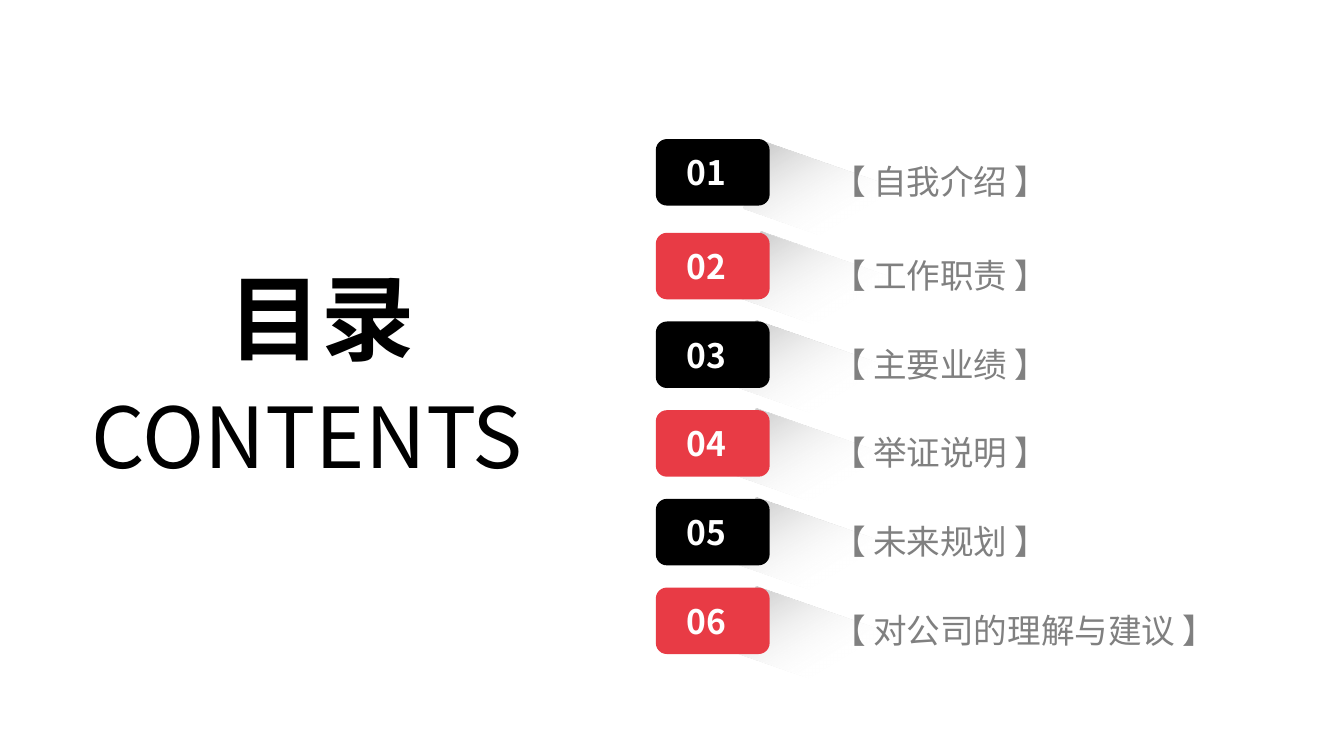
from dataclasses import dataclass

from lxml import etree
from pptx import Presentation
from pptx import util as u
from pptx.dml.color import RGBColor
from pptx.enum import shapes, text
from pptx.oxml import parse_xml
from pptx.oxml.ns import nsdecls, qn

WIDTH, HEIGHT = u.Inches(13.34), u.Inches(7.5)
FONT = "Noto Sans CJK SC"
BLACK = RGBColor(0x00, 0x00, 0x00)
RED = RGBColor(0xE8, 0x3B, 0x45)
WHITE = RGBColor(0xFF, 0xFF, 0xFF)
GRAY = RGBColor(0x80, 0x80, 0x80)
SHADOW_DARK = RGBColor(0x59, 0x59, 0x59)
SHADOW_LIGHT = RGBColor(0xBF, 0xBF, 0xBF)

# Stops of the cast shadow: position %, colour, opacity %
SHADOW_STOPS = ((0, SHADOW_DARK, 54), (0, SHADOW_LIGHT, 100), (54, WHITE, 0))
SHADOW_ANGLE = 40
SHADOW_TILT = 19.2

FIRST_ROW, SECOND_ROW, ROW_PITCH = 18, 30.4, 11.73


@dataclass(frozen=True)
class Area:
    """A rectangle in percent of the slide's width and height."""
    left: float
    top: float
    width: float
    height: float

    def moved(self, right: float = 0, down: float = 0) -> "Area":
        return Area(self.left + right, self.top + down, self.width, self.height)

    def lengths(self) -> tuple[int, ...]:
        shares = ((self.left, WIDTH), (self.top, HEIGHT),
                  (self.width, WIDTH), (self.height, HEIGHT))
        return tuple(round(share * whole / 100) for share, whole in shares)


@dataclass(frozen=True)
class Style:
    size: float
    color: RGBColor
    bold: bool = False
    paragraph: tuple = ()
    margins: tuple[float, float] = (0.1, 0.05)


@dataclass(frozen=True)
class Entry:
    label: str
    shadow_right: float = 0
    shadow_down: float = 0
    label_width: float = 28.34


CENTERED = (("alignment", text.PP_ALIGN.CENTER),)
SPACED = (("line_spacing", 1.5), ("space_before", u.Pt(7.5)))
TITLE = Style(66.7, BLACK, True, CENTERED)
SUBTITLE = Style(60, BLACK, margins=(0, 0))
NUMBER = Style(24, WHITE, True, CENTERED, (0.07, 0.04))
LABEL = Style(24, GRAY, paragraph=SPACED)

# Tops are relative to the row
SHADOW_AREA = Area(55.02, 4.27, 14.62, 9.2)
BADGE_AREA = Area(48.8, 0.4, 8.47, 8.8)
NUMBER_AREA = Area(48.65, -0.27, 7.8, 10.13)

ENTRIES = (
    Entry("自我介绍", shadow_right=0.75, shadow_down=0.67),
    Entry("工作职责", shadow_right=0.37),
    Entry("主要业绩"),
    Entry("举证说明"),
    Entry("未来规划"),
    Entry("对公司的理解与建议", label_width=31.26),
)


def set_values(target, values: dict) -> None:
    for name, value in values.items():
        setattr(target, name, value)


def write(box, words: str, style: Style, **frame_values) -> None:
    frame = box.text_frame
    across, down = (u.Inches(margin) for margin in style.margins)
    set_values(frame, {"word_wrap": True, "margin_left": across, "margin_right": across,
                       "margin_top": down, "margin_bottom": down, **frame_values})
    para = frame.paragraphs[0]
    set_values(para, dict(style.paragraph))
    span = para.add_run()
    span.text = words
    set_values(span.font, {"size": u.Pt(style.size), "bold": style.bold, "name": FONT})
    span.font.color.rgb = style.color
    etree.SubElement(span.font._element, qn("a:ea"), typeface=FONT)


def add_text(parent, area: Area, words: str, style: Style) -> None:
    box = parent.add_textbox(*area.lengths())
    write(box, words, style, auto_size=text.MSO_AUTO_SIZE.SHAPE_TO_FIT_TEXT)


def add_plain_shape(parent, kind: shapes.MSO_SHAPE, area: Area, color: RGBColor | None = None):
    """Add a shape with no line or shadow, and no fill unless a colour is given."""
    shape = parent.add_shape(kind, *area.lengths())
    shape.shadow.inherit = False
    shape.line.fill.background()
    if color is None:
        shape.fill.background()
    else:
        shape.fill.solid()
        shape.fill.fore_color.rgb = color
    return shape


def add_cast_shadow(parent, area: Area) -> None:
    shape = add_plain_shape(parent, shapes.MSO_SHAPE.RECTANGLE, area)
    shape.rotation = SHADOW_TILT
    stops = "".join(
        f'<a:gs pos="{place * 1000}"><a:srgbClr val="{color}">'
        f'<a:alpha val="{opacity * 1000}"/></a:srgbClr></a:gs>'
        for place, color, opacity in SHADOW_STOPS)
    gradient = parse_xml(
        f'<a:gradFill {nsdecls("a")} rotWithShape="1"><a:gsLst>{stops}</a:gsLst>'
        f'<a:lin ang="{SHADOW_ANGLE * 60000}" scaled="0"/></a:gradFill>')
    properties = shape._element.spPr
    properties.replace(properties.find(qn("a:noFill")), gradient)


def add_entry(page, index: int, entry: Entry) -> None:
    row = SECOND_ROW + (index - 1) * ROW_PITCH if index else FIRST_ROW
    group = page.shapes.add_group_shape().shapes
    add_cast_shadow(group, SHADOW_AREA.moved(entry.shadow_right, row + entry.shadow_down))
    add_plain_shape(group, shapes.MSO_SHAPE.ROUNDED_RECTANGLE,
                    BADGE_AREA.moved(down=row), RED if index % 2 else BLACK)
    number = add_plain_shape(group, shapes.MSO_SHAPE.OVAL, NUMBER_AREA.moved(down=row))
    write(number, f"{index + 1:02}", NUMBER, vertical_anchor=text.MSO_ANCHOR.MIDDLE)
    add_text(group, Area(61.17, row, entry.label_width, 8.53), f"【 {entry.label} 】", LABEL)


def main() -> None:
    deck = Presentation()
    set_values(deck, {"slide_width": WIDTH, "slide_height": HEIGHT})
    page = deck.slides.add_slide(deck.slide_layouts[6])
    add_text(page.shapes, Area(6.82, 50.93, 34.26, 13.47), "CONTENTS", SUBTITLE)
    add_text(page.shapes, Area(11.54, 33.73, 24.81, 16.27), "目录", TITLE)
    for index, entry in enumerate(ENTRIES):
        add_entry(page, index, entry)
    deck.save("out.pptx")


if __name__ == "__main__":
    main()
